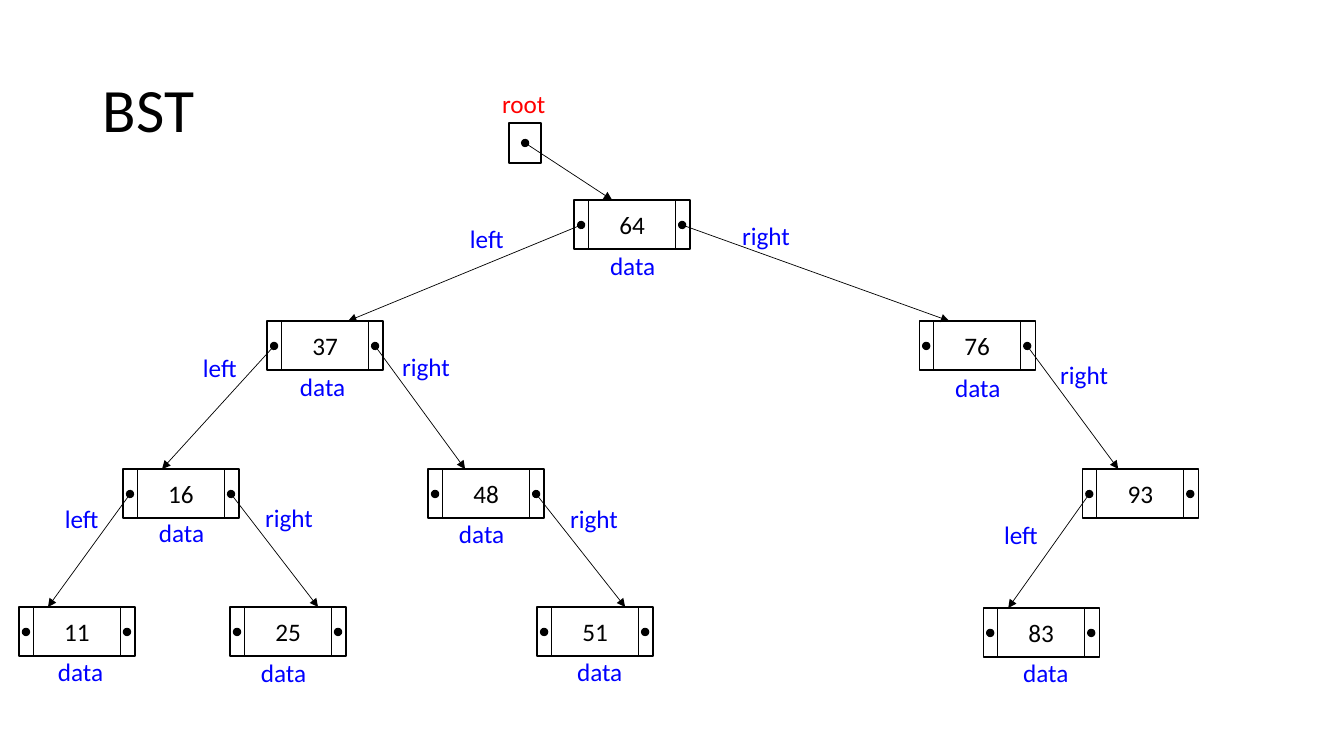
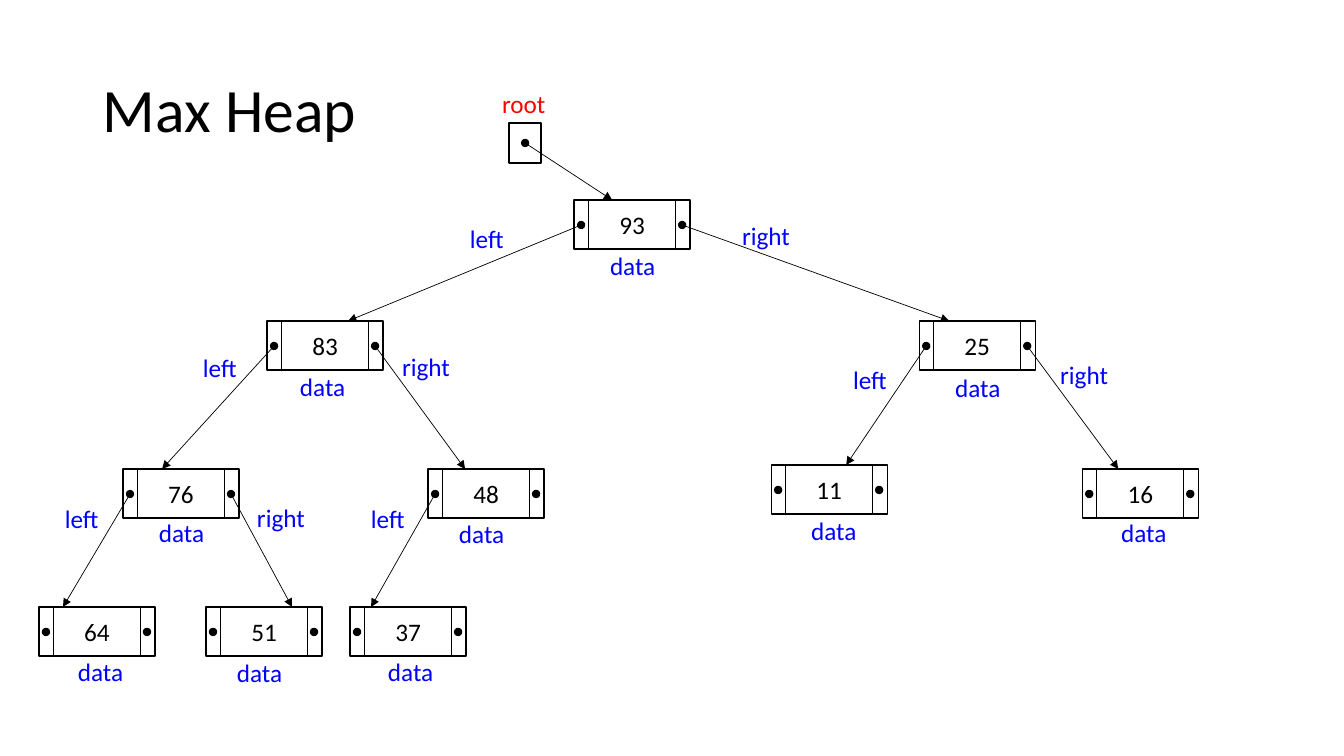
from lxml import etree
from pptx import Presentation
from pptx.dml.color import RGBColor
from pptx.enum.shapes import MSO_CONNECTOR, MSO_SHAPE
from pptx.enum.text import MSO_ANCHOR, PP_ALIGN
from pptx.oxml.ns import qn
from pptx.util import Emu, Inches, Pt

STRAIGHT = MSO_CONNECTOR.STRAIGHT
NODE, BOX, DOT = (MSO_SHAPE.FLOWCHART_PREDEFINED_PROCESS,
                  MSO_SHAPE.RECTANGLE, MSO_SHAPE.OVAL)
MIDDLE, TOP = MSO_ANCHOR.MIDDLE, MSO_ANCHOR.TOP
LEFT, CENTER = PP_ALIGN.LEFT, PP_ALIGN.CENTER

# Content: each key is the way down from the root, L for left and R for right.
# Slot: node x, node y, arrow tip from node x, side label, data label from node
SLOTS = {
    "": (574, 200, 38, None, (26, 45)),
    "L": (267, 321, 81, (460, 218), (23, 45)),
    "R": (919, 321, 30, (732, 215), (26, 46)),
    "LL": (123, 469, 39, (193, 347), (26, 43)),
    "LR": (428, 469, 37, (392, 346), (21, 44)),
    "RR": (1082, 469, 36, (1050, 354), (29, 43)),
}
SLIDES = [
    {
        "title": "BST",
        "values": {"": 64, "L": 37, "R": 76, "LL": 16, "LR": 48, "RR": 93,
                   "LLL": 11, "LLR": 25, "LRR": 51, "RRL": 83},
        "slots": {
            "RR": (1082, 469, 36, (1050, 354), None),
            "LLL": (19, 607, 29, (55, 498), (29, 44)),
            "LLR": (230, 607, 88, (255, 497), (21, 45)),
            "LRR": (537, 607, 88, (560, 498), (30, 44)),
            "RRL": (983, 608, 25, (994, 514), (30, 44)),
        },
    },
    {
        "title": "Max Heap",
        "values": {"": 93, "L": 83, "R": 25, "LL": 76, "LR": 48, "RL": 11,
                   "RR": 16, "LLL": 64, "LLR": 51, "LRL": 37},
        "slots": {
            "RL": (771, 465, 75, (843, 359), (30, 45)),
            "LLL": (39, 607, 24, (55, 498), (29, 44)),
            "LLR": (206, 607, 86, (247, 497), (21, 45)),
            "LRL": (350, 607, 21, (361, 498), (28, 44)),
        },
    },
]

# Shared style, lengths in pixels
COLORS = {"ink": "000000", "label": "0000FF", "root": "FF0000"}
FONT = "Calibri"
NODE_W, NODE_H, DOT_D = 116, 49, 7
POINTER = {"L": (7, 25), "R": (108, 25)}
SIDES = {"L": ("left", 67), "R": ("right", 71)}
DATA_W, LABEL_H = 67, 40
ROOT_BOX = (509, 123, 32, 40)
ROOT_LABEL = (492, 83, 74, LABEL_H)
TITLE_BOX = (93, 40, 341, 146)


def px(n):
    return Emu(round(n * 914400 / 100.8))


def rgb(name):
    return RGBColor.from_string(COLORS[name])


def write(sp, text, color="ink", size=18, align=LEFT, anchor=TOP, spacing=1.0):
    tf = sp.text_frame
    tf.word_wrap = True
    tf.vertical_anchor = anchor
    p = tf.paragraphs[0]
    p.alignment, p.line_spacing = align, spacing
    r = p.add_run()
    r.text = text
    for name, value in {"name": FONT, "size": Pt(size)}.items():
        setattr(r.font, name, value)
    r.font.color.rgb = rgb(color)


def add_text(s, box, text, **style):
    write(s.shapes.add_textbox(*map(px, box)), text, **style)


def add_outline(s, kind, box, filled=False):
    sp = s.shapes.add_shape(kind, *map(px, box))
    sp.shadow.inherit = False
    if filled:
        sp.fill.solid()
        sp.fill.fore_color.rgb = rgb("ink")
    else:
        sp.fill.background()
    sp.line.color.rgb = rgb("ink")
    sp.line.width = Pt(1)
    return sp


def add_arrow(s, start, end):
    line = s.shapes.add_connector(STRAIGHT, *map(px, start + end))
    line.line.color.rgb = rgb("ink")
    line.line.width = Pt(0.5)
    ln = line.line._get_or_add_ln()
    for tag, kind in {"a:headEnd": "oval", "a:tailEnd": "triangle"}.items():
        etree.SubElement(ln, qn(tag)).set("type", kind)
    etree.SubElement(ln.getparent(), qn("a:effectLst"))


def add_tree(s, values, slots):
    # Nodes with their data labels
    for way, value in values.items():
        x, y, _, _, data = slots[way]
        sp = add_outline(s, NODE, (x, y, NODE_W, NODE_H))
        write(sp, str(value), align=CENTER, anchor=MIDDLE)
        if data:
            add_text(s, (x + data[0], y + data[1], DATA_W, LABEL_H),
                     "data", color="label")

    # Pointers: an arrow to each child, a dot where there is none
    for way in values:
        x, y = slots[way][:2]
        for side, (dx, dy) in POINTER.items():
            start = (x + dx, y + dy)
            if way + side in values:
                child_x, child_y, tip, label, _ = slots[way + side]
                add_arrow(s, start, (child_x + tip, child_y))
                text, width = SIDES[side]
                add_text(s, (*label, width, LABEL_H), text, color="label")
            else:
                corner = [c - DOT_D / 2 for c in start]
                add_outline(s, DOT, (*corner, DOT_D, DOT_D), filled=True)

    # Root pointer
    add_outline(s, BOX, ROOT_BOX)
    x, y, w, h = ROOT_BOX
    top_x, top_y, tip = slots[""][:3]
    add_arrow(s, (x + w / 2, y + h / 2), (top_x + tip, top_y))
    add_text(s, ROOT_LABEL, "root", color="root")


prs = Presentation()
prs.slide_width, prs.slide_height = Inches(13.33), Inches(7.5)
for content in SLIDES:
    s = prs.slides.add_slide(prs.slide_layouts[6])
    add_text(s, TITLE_BOX, content["title"], size=44, anchor=MIDDLE, spacing=0.9)
    add_tree(s, content["values"], {**SLOTS, **content["slots"]})
prs.save("out.pptx")
